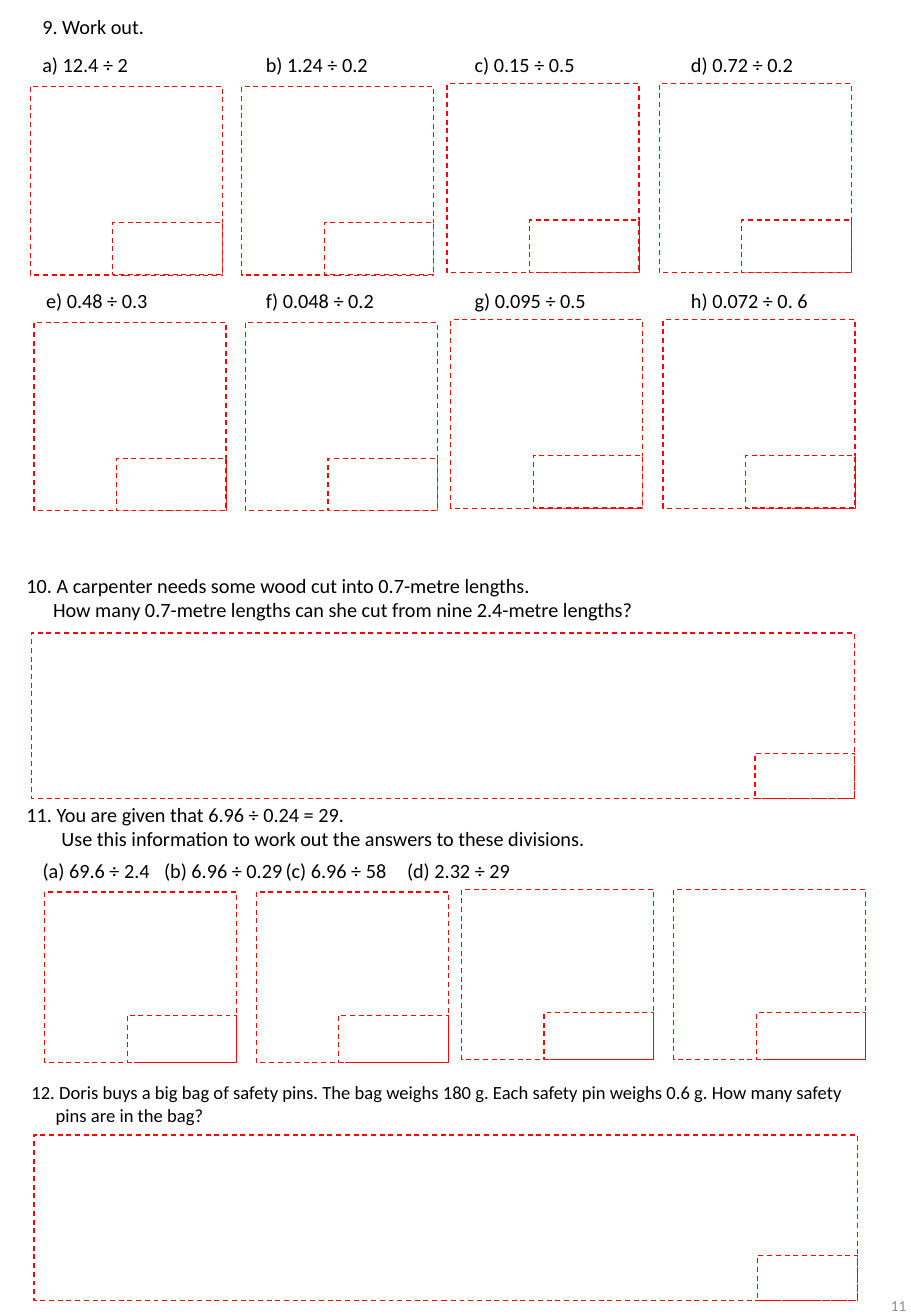
"""Build a worksheet page on dividing decimals, with dashed working and answer boxes."""
from lxml.etree import SubElement
from pptx import Presentation
from pptx.dml.color import RGBColor
from pptx.enum.dml import MSO_LINE_DASH_STYLE as Dash
from pptx.enum.shapes import MSO_SHAPE as Shape
from pptx.enum.text import MSO_ANCHOR as Anchor, MSO_AUTO_SIZE as AutoSize, PP_ALIGN as Align
from pptx.oxml.ns import qn
from pptx.util import Pt

BLACK = RGBColor(0x00, 0x00, 0x00)
GREY = RGBColor(0x8C, 0x8C, 0x8C)
RED = RGBColor(0xFF, 0x00, 0x00)
WHITE = RGBColor(0xFF, 0xFF, 0xFF)

COLUMN_OFFSETS = (0, 125.3, 247, 372.8)
COLUMN_LIFTS = (0, 0, 1.5, 1.5)
LABEL_LEFTS = (18, 150.5, 274.3, 402.5)
DIVISION_TABS = (100, 224, 350.8)

DIVISION_ROWS = (
    (18, 51.2, 27.2, (("a) 12.4 ÷ 2", 66), ("b) 1.24 ÷ 0.2", 76),
                      ("c) 0.15 ÷ 0.5", 75), ("d) 0.72 ÷ 0.2", 76))),
    (20.2, 190.9, 167, (("e) 0.48 ÷ 0.3", 76), ("f) 0.048 ÷ 0.2", 80),
                        ("g) 0.095 ÷ 0.5", 81), ("h) 0.072 ÷ 0. 6", 85))),
)


class Worksheet:
    def __init__(self, slide, font="Calibri", size=12):
        self.shapes = slide.shapes
        self.font = font
        self.size = size

    def text(self, text, left, top, width, height, *, size=None, color=BLACK, align=Align.LEFT,
             anchor=Anchor.TOP, wrap=True, grow=True, indents=((0, 0),), tabs=()):
        frame = self.shapes.add_textbox(Pt(left), Pt(top), Pt(width), Pt(height)).text_frame
        frame.word_wrap = wrap
        frame.auto_size = AutoSize.SHAPE_TO_FIT_TEXT if grow else AutoSize.NONE
        frame.vertical_anchor = anchor
        frame.text = text
        for paragraph, (margin, first) in zip(frame.paragraphs, indents):
            properties = paragraph._p.get_or_add_pPr()
            properties.set("marL", str(Pt(margin)))
            properties.set("indent", str(Pt(first)))
            if tabs:
                stops = SubElement(properties, qn("a:tabLst"))
                for position in tabs:
                    SubElement(stops, qn("a:tab"), pos=str(Pt(position)), algn="l")
            paragraph.alignment = align
            paragraph.font.name = self.font
            paragraph.font.size = Pt(size or self.size)
            paragraph.font.color.rgb = color

    def dashed_box(self, left, top, width, height, fill=None):
        box = self.shapes.add_shape(Shape.RECTANGLE, Pt(left), Pt(top), Pt(width), Pt(height))
        box.shadow.inherit = False
        if fill is None:
            box.fill.background()
        else:
            box.fill.solid()
            box.fill.fore_color.rgb = fill
        box.line.color.rgb = RED
        box.line.width = Pt(0.75)
        box.line.dash_style = Dash.DASH

    def working_box(self, left, top, width, height, answer_width, answer_height, fill=None):
        self.dashed_box(left, top, width, height, fill)
        self.dashed_box(left + width - answer_width, top + height - answer_height,
                        answer_width, answer_height, fill)

    def working_row(self, left, top, height, answer_height, fill=None):
        for offset, lift in zip(COLUMN_OFFSETS, COLUMN_LIFTS):
            self.working_box(left + offset, top - lift, 113.8, height, 64.9, answer_height, fill)

    def wide_working(self, left, top):
        self.working_box(left, top, 488, 98, 59.2, 26.6)


def main():
    deck = Presentation()
    deck.slide_width, deck.slide_height = Pt(540), Pt(779.76)
    sheet = Worksheet(deck.slides.add_slide(deck.slide_layouts[6]))

    sheet.text("9. Work out.", 18, 5, 322, 21.8)
    for left, box_top, label_top, divisions in DIVISION_ROWS:
        sheet.working_row(left, box_top, 111.7, 31, WHITE)
        label_lefts = (left, *LABEL_LEFTS[1:])
        for label_left, (division, width) in zip(label_lefts, divisions):
            sheet.text(division, label_left, label_top, width, 21.8, wrap=False)

    sheet.text("10. A carpenter needs some wood cut into 0.7-metre lengths.\n"
               "How many 0.7-metre lengths can she cut from nine 2.4-metre lengths?",
               8.6, 336.2, 454, 36, indents=((0, 0), (15.8, 0)))
    sheet.wide_working(18.7, 375)

    sheet.text("11. You are given that 6.96 ÷ 0.24 = 29.\n"
               "Use this information to work out the answers to these divisions.",
               8.6, 471.6, 426, 36, indents=((0, 0), (20.8, 0)))
    sheet.text("(a) 69.6 ÷ 2.4\t(b) 6.96 ÷ 0.29\t(c) 6.96 ÷ 58\t(d) 2.32 ÷ 29",
               18.2, 505, 507, 21.8, tabs=DIVISION_TABS)
    sheet.working_row(26.6, 528.5, 101, 28)

    sheet.text("12. Doris buys a big bag of safety pins. The bag weighs 180 g. "
               "Each safety pin weighs 0.6 g. How many safety pins are in the bag?",
               11.5, 637.2, 506, 33.8, size=11, indents=((14.4, -14.4),))
    sheet.wide_working(20.2, 672.5)

    sheet.text("11", 422.6, 752.4, 121.7, 41.8, size=9, color=GREY,
               align=Align.RIGHT, anchor=Anchor.MIDDLE, grow=False)
    deck.save("out.pptx")


if __name__ == "__main__":
    main()
